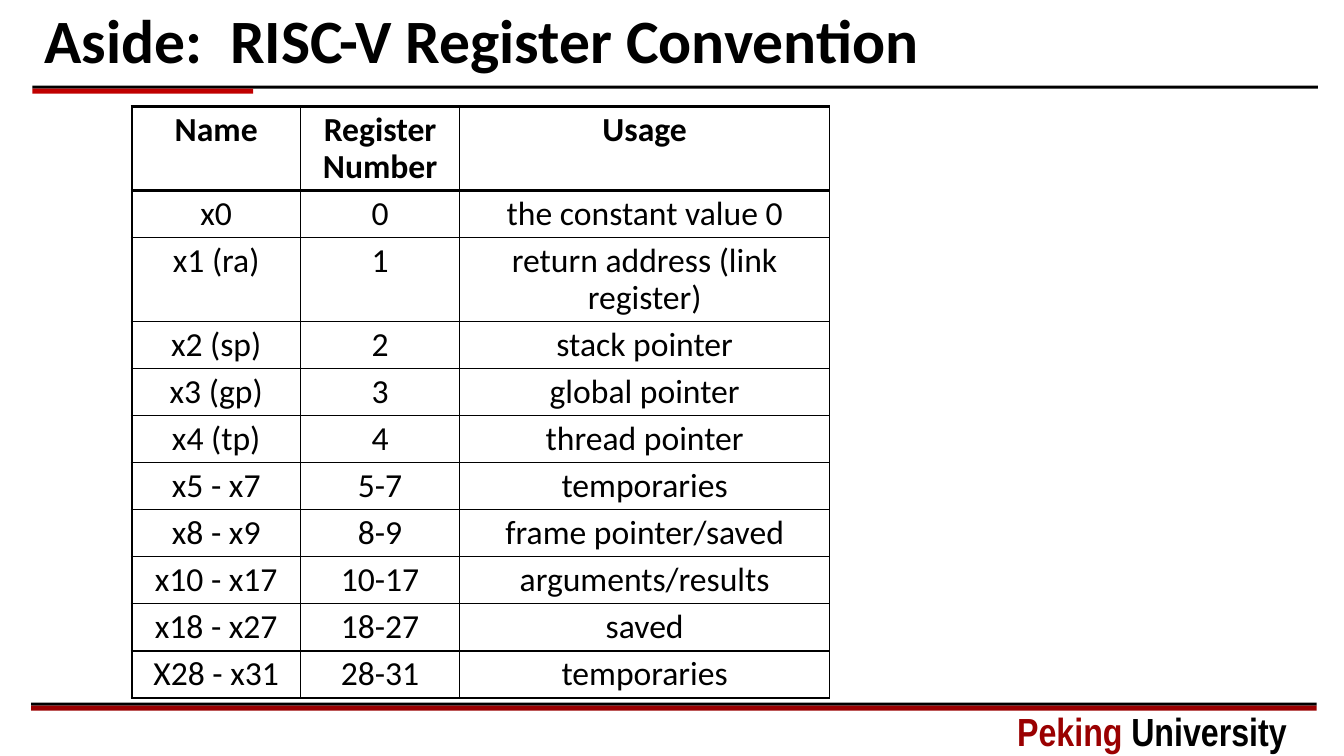
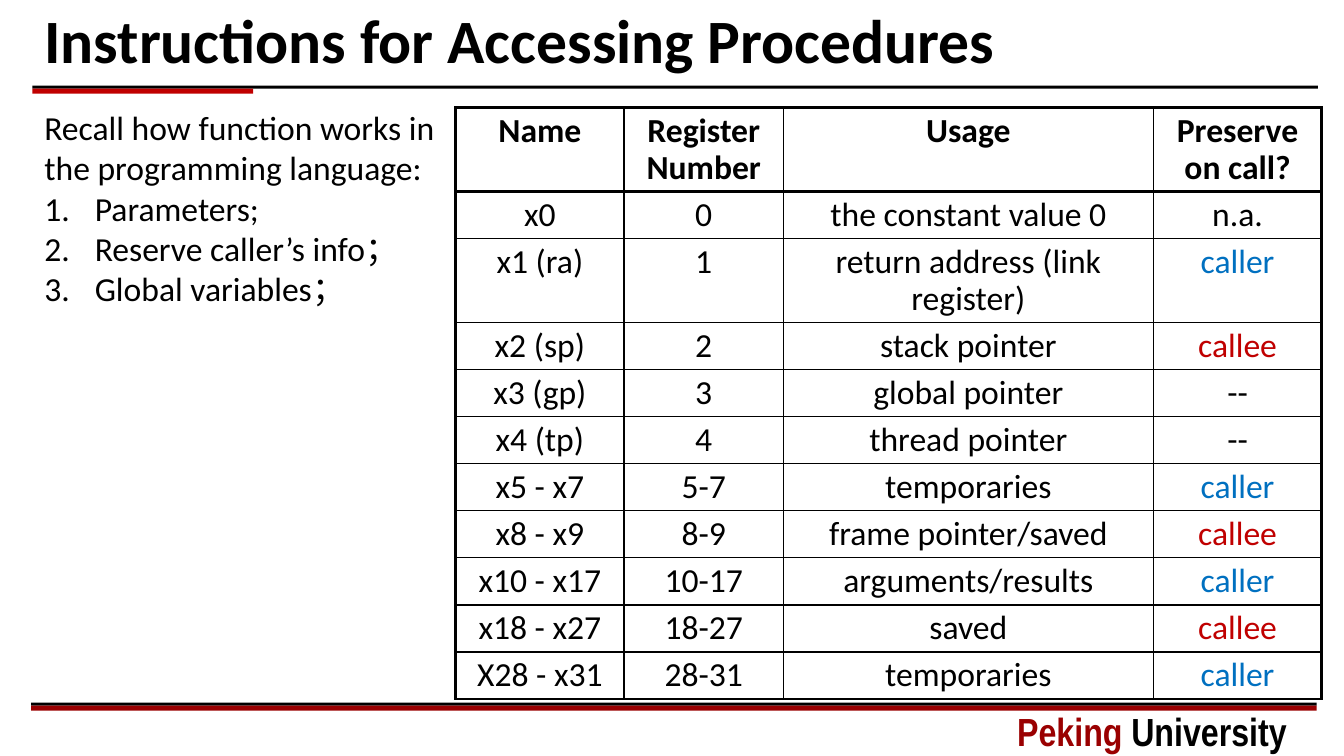
"""Build two slides on the RISC-V register convention and procedure calls."""
import pptx
import pptx.dml.color
import pptx.enum.shapes
import pptx.enum.text
import pptx.oxml
import pptx.oxml.ns
import pptx.util

Inches = pptx.util.Inches
Pt = pptx.util.Pt
ALIGN = pptx.enum.text.PP_ALIGN
ANCHOR = pptx.enum.text.MSO_ANCHOR
FIT = pptx.enum.text.MSO_AUTO_SIZE

COLORS = {"black": "000000", "red": "C00000", "crimson": "9A0001", "blue": "0070C0"}
CALL_COLORS = {"caller": "blue", "callee": "red"}
THIN, THICK = 1, 2.25
HEADER = ["Name", "Register Number", "Usage", "Preserve on call?"]
COL_WIDTHS = [1.67, 1.58, 3.67, 1.67]
ROW_HEIGHT, TALL_ROW_HEIGHT = 0.46, 0.82
TALL_ROWS = (0, 2)
REGISTERS = [
    ["x0", "0", "the constant value 0", "n.a."],
    ["x1 (ra)", "1", "return address (link register)", "caller"],
    ["x2 (sp)", "2", "stack pointer", "callee"],
    ["x3 (gp)", "3", "global pointer", "--"],
    ["x4 (tp)", "4", "thread pointer", "--"],
    ["x5 - x7", "5-7", "temporaries", "caller"],
    ["x8 - x9", "8-9", "frame pointer/saved", "callee"],
    ["x10 - x17", "10-17", "arguments/results", "caller"],
    ["x18 - x27", "18-27", "saved", "callee"],
    ["X28 - x31", "28-31", "temporaries", "caller"],
]
RECALL_INTRO = ["Recall how function works in", "the programming language:"]
RECALL_ITEMS = ["Parameters;", "Reserve caller’s info；", "Global variables；"]


def rgb(name):
    return pptx.dml.color.RGBColor.from_string(COLORS[name])


def add_text(p, text, size=24, color="black", bold=False, font="Calibri"):
    r = p.add_run()
    r.text = text
    r.font.size = Pt(size)
    r.font.bold = bold
    r.font.name = font
    r.font.color.rgb = rgb(color)


def place(sp, left, top, width, height):
    sp.left, sp.top = Inches(left), Inches(top)
    sp.width, sp.height = Inches(width), Inches(height)


def add_bar(slide, left, top, width, height, color):
    sp = slide.shapes.add_shape(pptx.enum.shapes.MSO_SHAPE.RECTANGLE, Inches(left),
                                Inches(top), Inches(width), Inches(height))
    sp.shadow.inherit = False
    sp.fill.solid()
    sp.fill.fore_color.rgb = rgb(color)
    sp.line.fill.background()
    return sp


def add_double_rule(slide, left, top, width, accent_width, accent):
    return [add_bar(slide, left, top, width, 0.03, "black"),
            add_bar(slide, left, top + 0.03, accent_width, 0.05, accent)]


def add_signature(slide, left, top, width, height):
    sp = slide.shapes.add_textbox(Inches(left), Inches(top), Inches(width), Inches(height))
    sp.text_frame.word_wrap = True
    p = sp.text_frame.paragraphs[0]
    for text, color in (("Peking ", "crimson"), ("University", "black")):
        add_text(p, text, size=28, color=color, bold=True, font="Arial Narrow")
    return sp


def add_master_frame(prs, slide):
    parts = add_double_rule(slide, 0.32, 0.85, 12.75, 2.19, "red")
    parts += add_double_rule(slide, 0.31, 6.97, 12.75, 12.75, "crimson")
    parts.append(add_signature(slide, 9.99, 6.97, 3.16, 0.57))
    for sp in parts:
        prs.slide_master.shapes.element.append(sp.element)


def set_title(slide, text):
    sp = slide.shapes.title
    place(sp, 0.34, 0.02, 12.69, 0.83)
    tf = sp.text_frame
    tf.auto_size = FIT.NONE
    tf.vertical_anchor = ANCHOR.MIDDLE
    p = tf.paragraphs[0]
    p.alignment = ALIGN.LEFT
    p.line_spacing = 0.9
    add_text(p, text, size=44, bold=True)


def set_bullet(p, numbered):
    pPr = p._p.get_or_add_pPr()
    indent = Inches(0.5) if numbered else 0
    pPr.set("marL", str(indent))
    pPr.set("indent", str(-indent))
    tag = '<a:buAutoNum type="arabicPeriod" {}/>' if numbered else "<a:buNone {}/>"
    pPr.append(pptx.oxml.parse_xml(tag.format(pptx.oxml.ns.nsdecls("a"))))


def set_recall_list(slide, left, top, width, height):
    sp = slide.placeholders[1]
    place(sp, left, top, width, height)
    tf = sp.text_frame
    tf.auto_size = FIT.NONE
    for i, text in enumerate(RECALL_INTRO + RECALL_ITEMS):
        p = tf.add_paragraph() if i else tf.paragraphs[0]
        set_bullet(p, numbered=i >= len(RECALL_INTRO))
        p.space_before = Pt(0)
        add_text(p, text)


def set_borders(cell, **widths):
    tcPr = cell._tc.get_or_add_tcPr()
    for side in "LRTB":
        tcPr.append(pptx.oxml.parse_xml(
            f'<a:ln{side} {pptx.oxml.ns.nsdecls("a")} w="{Pt(widths.get(side, THIN))}">'
            f'<a:solidFill><a:srgbClr val="{COLORS["black"]}"/></a:solidFill></a:ln{side}>'))


def format_cell(cell, text, row, col):
    outer = {"L": col == 0, "R": col == len(HEADER) - 1, "T": row < 2, "B": row == 0}
    set_borders(cell, **{side: THICK for side, thick in outer.items() if thick})
    cell.fill.background()
    p = cell.text_frame.paragraphs[0]
    p.alignment = ALIGN.CENTER
    p.line_spacing = 0.9
    add_text(p, text, color=CALL_COLORS.get(text, "black"), bold=row == 0)


def add_register_table(slide, left, top, cols):
    rows = [HEADER] + REGISTERS
    heights = [TALL_ROW_HEIGHT if i in TALL_ROWS else ROW_HEIGHT for i in range(len(rows))]
    table = slide.shapes.add_table(len(rows), cols, Inches(left), Inches(top),
                                   Inches(sum(COL_WIDTHS[:cols])), Inches(sum(heights))).table
    table.first_row = table.horz_banding = False
    for column, width in zip(table.columns, COL_WIDTHS):
        column.width = Inches(width)
    for i, (row, height) in enumerate(zip(rows, heights)):
        table.rows[i].height = Inches(height)
        for j, text in enumerate(row[:cols]):
            format_cell(table.cell(i, j), text, i, j)


def build_convention_slide(prs):
    slide = prs.slides.add_slide(prs.slide_layouts[5])
    set_title(slide, "Aside:  RISC-V Register Convention")
    add_register_table(slide, 1.31, 1.06, cols=3)
    return slide


def build_procedures_slide(prs):
    slide = prs.slides.add_slide(prs.slide_layouts[1])
    set_title(slide, "Instructions for Accessing Procedures")
    set_recall_list(slide, 0.34, 1.01, 9.2, 2.12)
    add_register_table(slide, 4.52, 1.07, cols=4)


def main():
    prs = pptx.Presentation()
    prs.slide_width, prs.slide_height = Inches(13.33), Inches(7.5)
    slide = build_convention_slide(prs)
    add_master_frame(prs, slide)
    build_procedures_slide(prs)
    prs.save("out.pptx")


if __name__ == "__main__":
    main()
